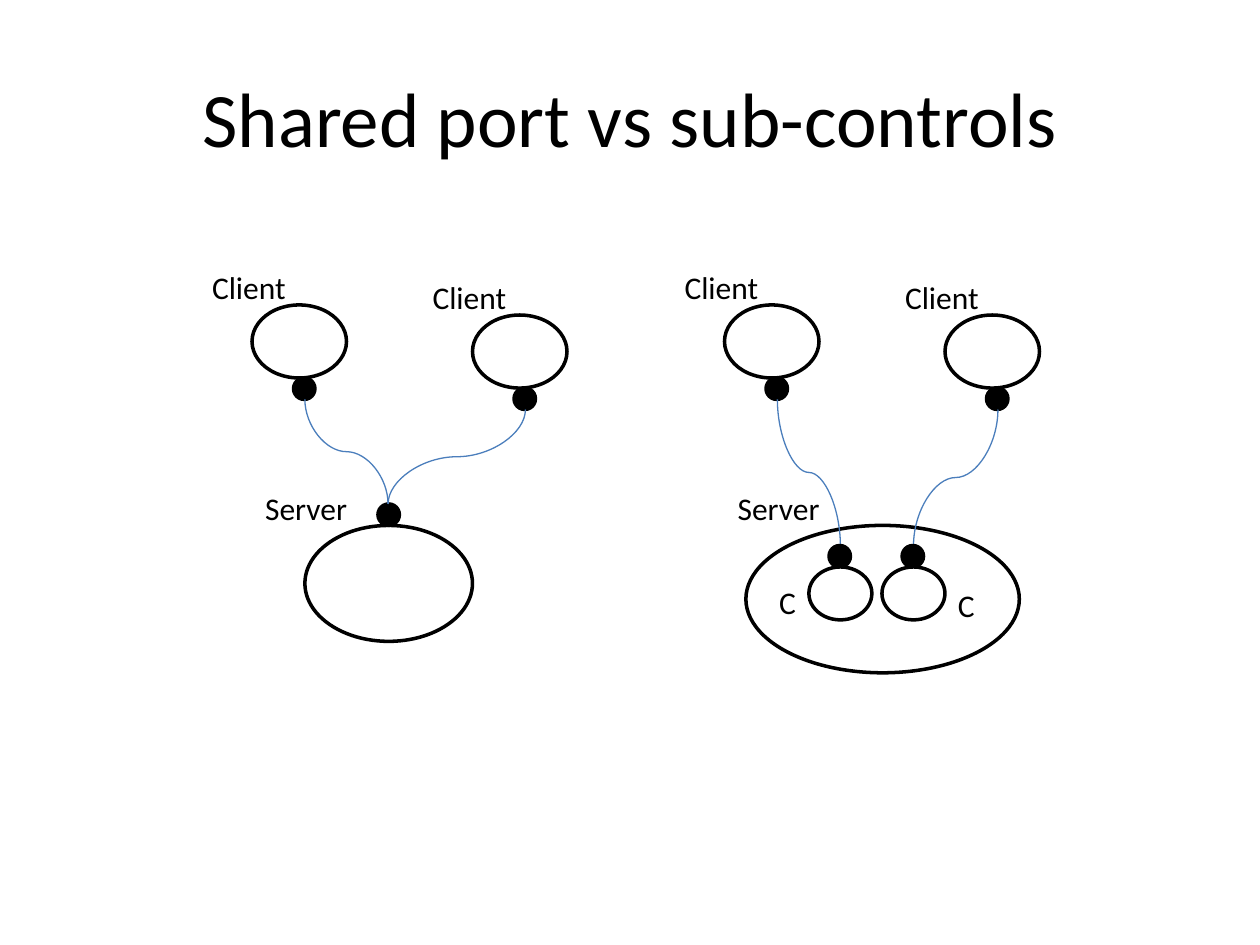
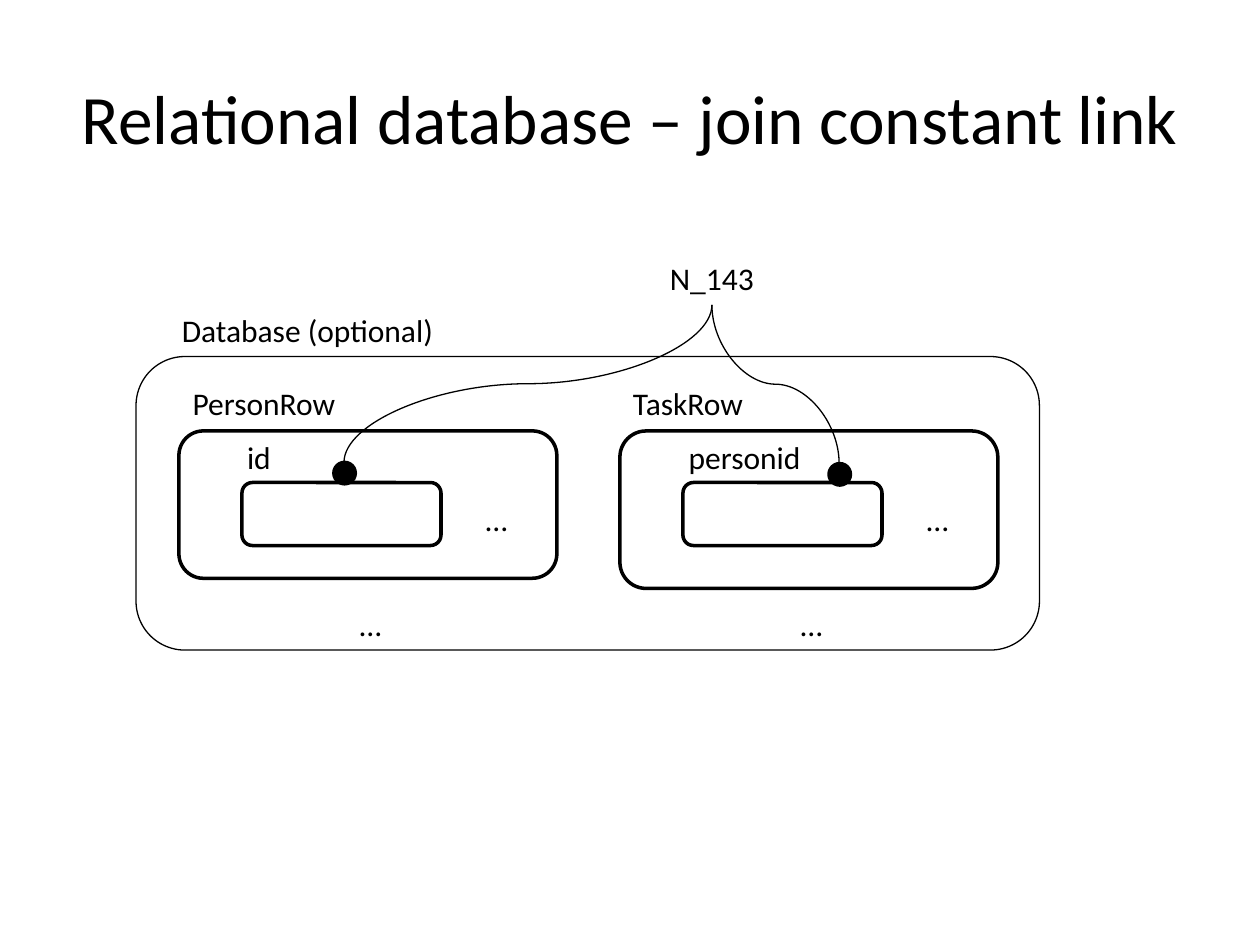
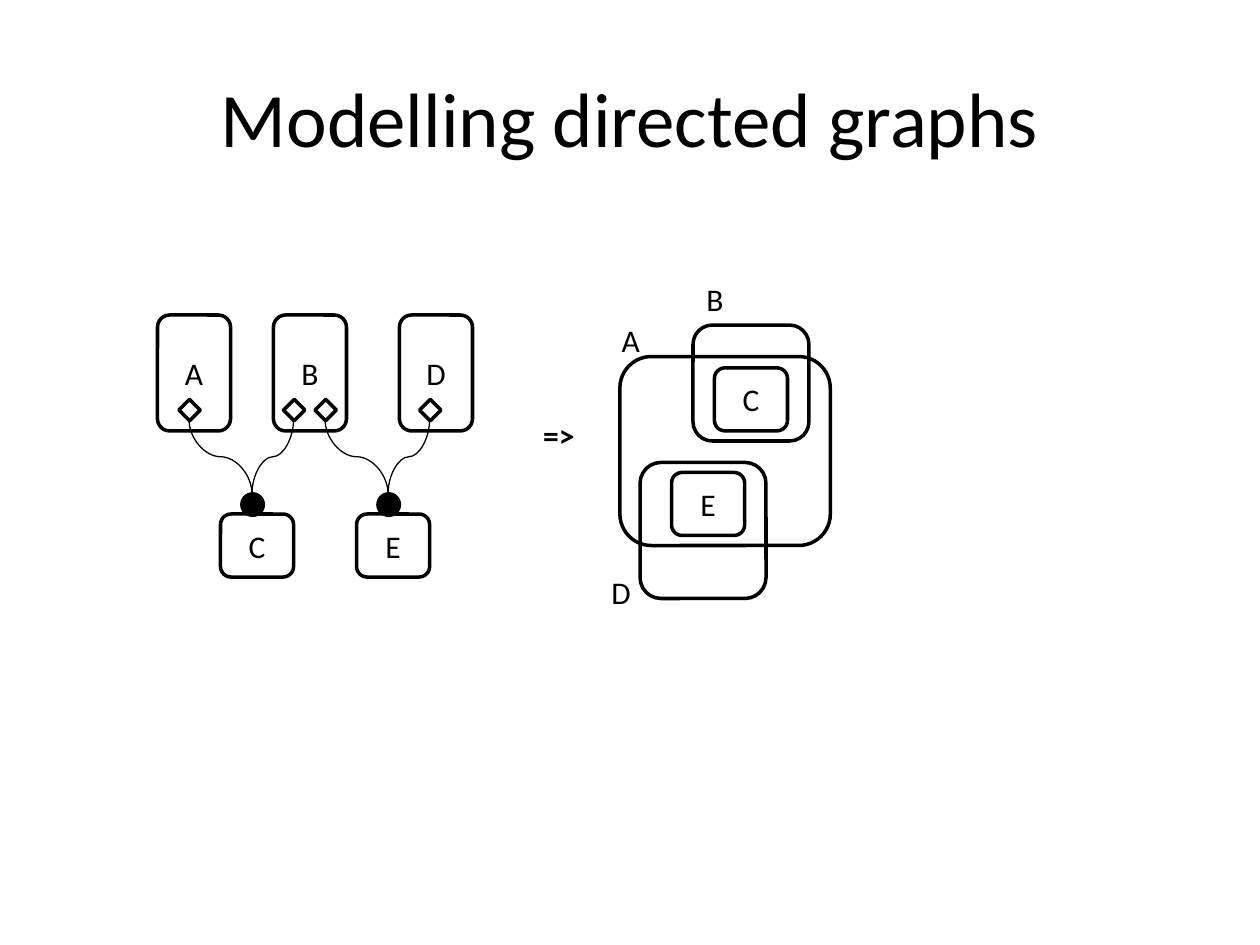
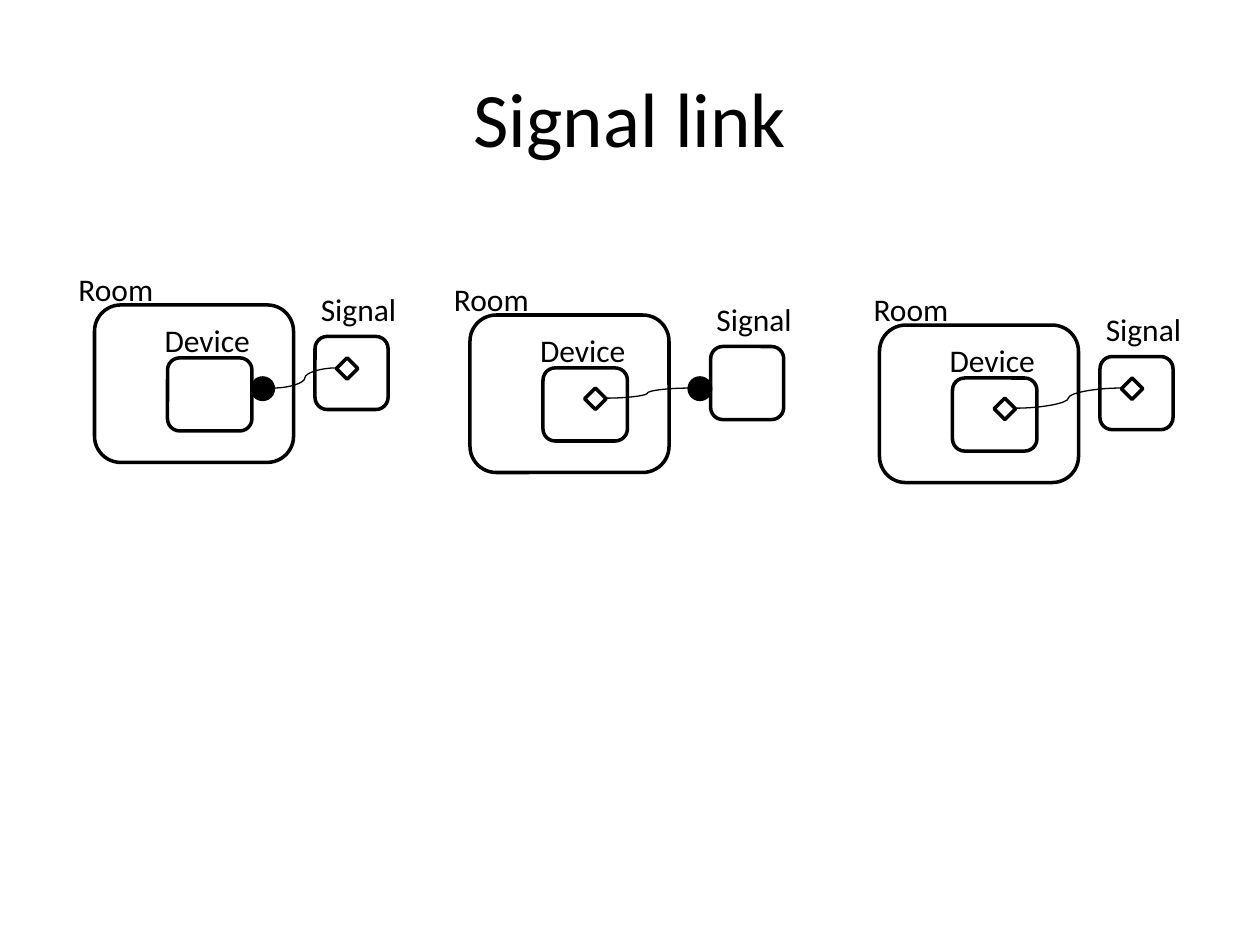
"""Build four slides of port, database, graph and signal diagrams."""
from dataclasses import dataclass

from lxml import etree
from pptx import Presentation
from pptx import util as u
from pptx.dml.color import RGBColor
from pptx.enum import shapes, text
from pptx.oxml import ns

ELLIPSE = shapes.MSO_SHAPE.OVAL
ROUNDED = shapes.MSO_SHAPE.ROUNDED_RECTANGLE
DIAMOND = shapes.MSO_SHAPE.DIAMOND


@dataclass(frozen=True)
class Theme:
    ink: RGBColor = RGBColor(0x00, 0x00, 0x00)
    paper: RGBColor = RGBColor(0xFF, 0xFF, 0xFF)
    link: RGBColor = RGBColor(0x4B, 0x7E, 0xBC)
    font: str = "Calibri"
    title_size: float = 44
    long_title_size: float = 39.6
    body_size: float = 18
    outline: float = 2
    thin: float = 0.75
    port: float = 0.17
    label_height: float = 0.4


class Deck:
    def __init__(self, theme):
        self.theme = theme
        self.prs = Presentation()
        self.prs.slide_width, self.prs.slide_height = u.Inches(10), u.Inches(7.5)
        self.s = None

    def set_text(self, tf, content, size, bold=False):
        p = tf.paragraphs[0]
        p.text = content
        p.alignment = text.PP_ALIGN.CENTER
        p.font.name, p.font.size, p.font.bold = self.theme.font, u.Pt(size), bold
        p.font.color.rgb = self.theme.ink

    def slide(self, title, size=None):
        self.s = self.prs.slides.add_slide(self.prs.slide_layouts[5])
        sp = self.s.shapes.title
        sp.left, sp.top, sp.width, sp.height = map(u.Inches, (0.5, 0.3, 9, 1.25))
        sp.text_frame.vertical_anchor = text.MSO_ANCHOR.MIDDLE
        self.set_text(sp.text_frame, title, size or self.theme.title_size)

    def shape(self, kind, x, y, w, h, fill=None, content=None, line=None):
        sp = self.s.shapes.add_shape(kind, *map(u.Inches, (x, y, w, h)))
        sp.shadow.inherit = False
        if fill is None:
            sp.fill.background()
        else:
            sp.fill.solid()
            sp.fill.fore_color.rgb = fill
        sp.line.color.rgb = self.theme.ink
        sp.line.width = u.Pt(line or self.theme.outline)
        if content:
            sp.text_frame.vertical_anchor = text.MSO_ANCHOR.MIDDLE
            self.set_text(sp.text_frame, content, self.theme.body_size)

    def ellipse(self, x, y, w, h):
        self.shape(ELLIPSE, x, y, w, h, self.theme.paper)

    def box(self, x, y, w, h, content=None):
        self.shape(ROUNDED, x, y, w, h, self.theme.paper, content)

    def frame(self, x, y, w, h, line=None):
        self.shape(ROUNDED, x, y, w, h, line=line)

    def dot(self, x, y):
        self.shape(ELLIPSE, x, y, self.theme.port, self.theme.port, self.theme.ink)

    def diamond(self, x, y):
        self.shape(DIAMOND, x, y, self.theme.port, self.theme.port)

    def label(self, content, x, y, w, bold=False):
        size = (x, y, w, self.theme.label_height)
        tf = self.s.shapes.add_textbox(*map(u.Inches, size)).text_frame
        tf.word_wrap = False
        tf.auto_size = text.MSO_AUTO_SIZE.SHAPE_TO_FIT_TEXT
        self.set_text(tf, content, self.theme.body_size, bold)

    def curve(self, start, end, color=None, vertical=True):
        (x1, y1), (x2, y2) = start, end
        ends = (x1, y1, x2, y2)
        if vertical:
            mid_x, mid_y = (x1 + x2) / 2, (y1 + y2) / 2
            half_w, half_h = abs(y2 - y1) / 2, abs(x2 - x1) / 2
            ends = (mid_x - half_w, mid_y - half_h, mid_x + half_w, mid_y + half_h)
        cxn = self.s.shapes.add_connector(
            shapes.MSO_CONNECTOR.CURVE, *map(u.Inches, ends))
        cxn.line.color.rgb = color or self.theme.ink
        cxn.line.width = u.Pt(self.theme.thin)
        sp_pr = cxn.element.spPr
        etree.SubElement(sp_pr, ns.qn("a:effectLst"))
        if vertical:
            xfrm = sp_pr.find(ns.qn("a:xfrm"))
            xfrm.set("rot", str((90 if y2 > y1 else 270) * 60000))
            if (x2 > x1) == (y2 > y1):
                xfrm.set("flipV", "1")


def client(deck, x, y):
    deck.ellipse(x, y, 0.75, 0.58)
    deck.dot(x + 0.33, y + 0.58)
    deck.label("Client", x - 0.42, y - 0.34, 0.79)
    return x + 0.42, y + 0.75


def shared_port(deck):
    deck.slide("Shared port vs sub-controls")
    link = deck.theme.link

    deck.ellipse(2.42, 4.17, 1.33, 0.92)
    deck.dot(3, 4)
    deck.label("Server", 2, 3.83, 0.86)
    for x, y in ((2, 2.42), (3.75, 2.5)):
        deck.curve(client(deck, x, y), (3.08, 4), link)

    deck.ellipse(5.92, 4.17, 2.17, 1.17)
    deck.label("Server", 5.75, 3.83, 0.86)
    for x, y, control_x in ((5.75, 2.42, 6.42), (7.5, 2.5, 7)):
        deck.curve(client(deck, x, y), (control_x + 0.25, 4.33), link)
        deck.dot(control_x + 0.16, 4.33)
        deck.ellipse(control_x, 4.5, 0.5, 0.42)
    deck.label("C", 6.08, 4.58, 0.34)
    deck.label("C", 7.5, 4.6, 0.34)


def table_row(deck, x, height, name, name_w, field, field_w):
    deck.box(x, 3.42, 3, height)
    deck.label(name, x, 3, name_w)
    deck.box(x + 0.5, 3.83, 1.58, 0.5)
    deck.label(field, x + 0.44, 3.43, field_w)
    deck.label("…", x + 2.33, 3.92, 0.38)
    deck.label("…", x + 1.33, 4.75, 0.38)


def relational_database(deck):
    deck.slide("Relational database – join constant link", deck.theme.long_title_size)
    deck.frame(1.08, 2.83, 7.17, 2.33, deck.theme.thin)
    deck.label("Database (optional)", 1.33, 2.42, 2.22)
    table_row(deck, 1.42, 1.17, "PersonRow", 1.35, "id", 0.39)
    table_row(deck, 4.92, 1.25, "TaskRow", 1.08, "personid", 1.1)
    deck.label("N_143", 5.21, 2.01, 0.88)
    for x, y in ((2.65, 3.67), (6.58, 3.68)):
        deck.dot(x, y)
        deck.curve((x + 0.08, y), (5.65, 2.42))


def directed_graphs(deck):
    deck.slide("Modelling directed graphs")
    for name, x in (("A", 1.25), ("B", 2.17), ("D", 3.17)):
        deck.box(x, 2.5, 0.58, 0.92, name)
    for name, x, dot_x, parents in (("C", 1.75, 1.92, (1.42, 2.25)),
                                    ("E", 2.83, 3, (2.5, 3.33))):
        deck.box(x, 4.08, 0.58, 0.5, name)
        deck.dot(dot_x, 3.92)
        for parent_x in parents:
            deck.curve((dot_x + 0.08, 3.92), (parent_x + 0.08, 3.33))
            deck.diamond(parent_x, 3.17)

    deck.label("=>", 4.21, 3.25, 0.45, bold=True)

    deck.box(4.92, 2.83, 1.67, 1.5)
    deck.frame(5.5, 2.58, 0.92, 0.92)
    deck.box(5.33, 3.75, 0.58, 0.5, "E")
    deck.box(5.67, 2.92, 0.58, 0.5, "C")
    deck.frame(5.08, 3.67, 1, 1.08)
    deck.label("A", 4.83, 2.5, 0.35)
    deck.label("B", 5.5, 2.17, 0.35)
    deck.label("D", 4.75, 4.5, 0.36)


def room(deck, x, y, label_x, signal_x, device_dot=False, signal_dot=False):
    deck.box(x, y, 1.58, 1.25)
    deck.label("Room", label_x, y - 0.33, 0.8)
    deck.box(x + 0.58, y + 0.42, 0.67, 0.58)
    deck.label("Device", x + 0.45, y + 0.08, 0.89)
    deck.frame(signal_x, y + 0.25, 0.58, 0.58)
    deck.label("Signal", signal_x - 0.06, y - 0.17, 0.81)

    device_port = (x + (1.25 if device_dot else 0.91), y + 0.58)
    signal_port = ((signal_x - 0.17, y + 0.5) if signal_dot
                   else (signal_x + 0.17, y + 0.42))
    for is_dot, port in ((device_dot, device_port), (signal_dot, signal_port)):
        (deck.dot if is_dot else deck.diamond)(*port)
    deck.curve((signal_port[0], signal_port[1] + 0.08),
               (device_port[0] + 0.17, device_port[1] + 0.08), vertical=False)


def signal_link(deck):
    deck.slide("Signal link")
    room(deck, 0.75, 2.42, 0.52, 2.5, device_dot=True)
    room(deck, 3.73, 2.5, 3.5, 5.64, signal_dot=True)
    room(deck, 6.98, 2.58, 6.83, 8.73)


def main():
    deck = Deck(Theme())
    for build in (shared_port, relational_database, directed_graphs, signal_link):
        build(deck)
    deck.prs.save("out.pptx")


if __name__ == "__main__":
    main()
